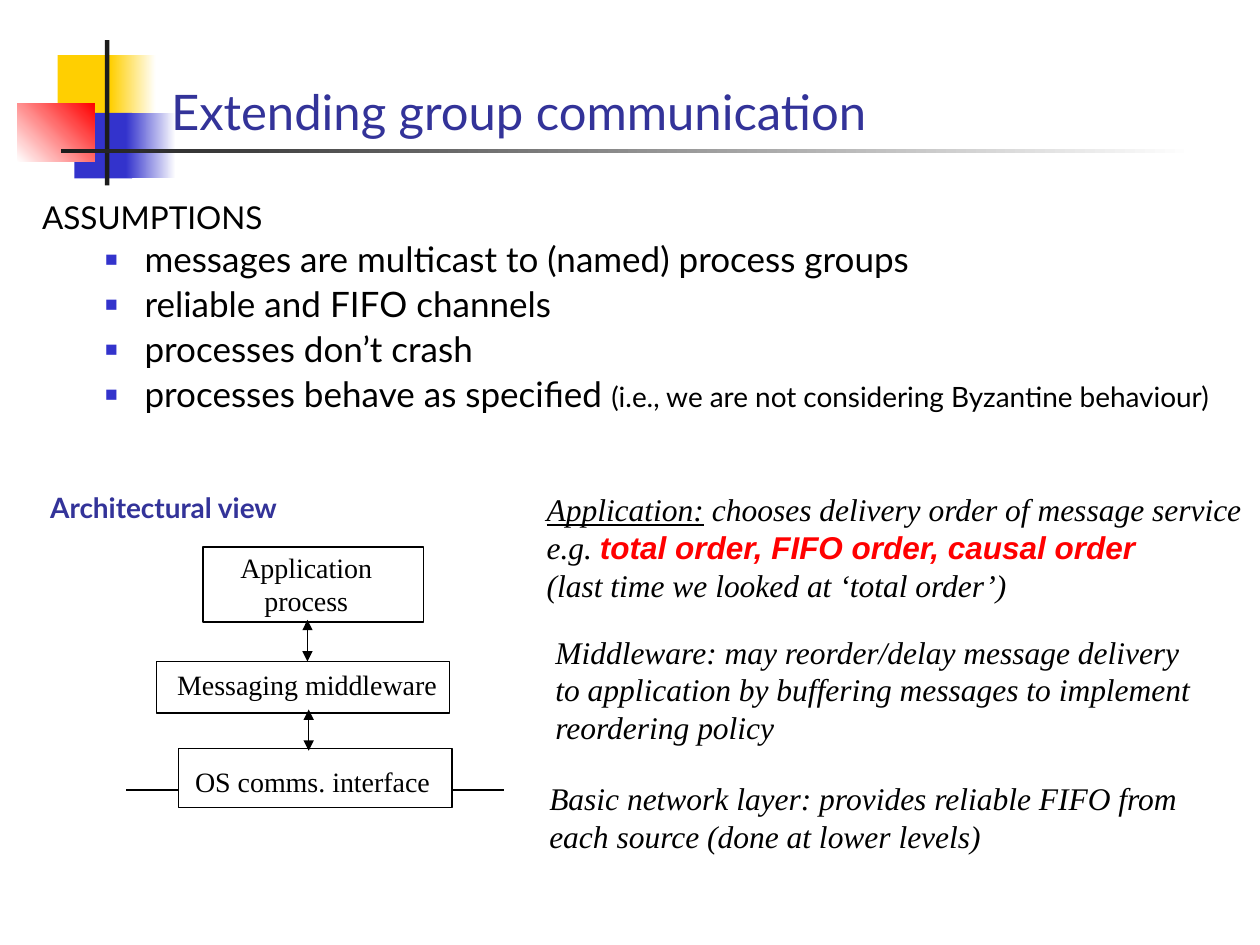
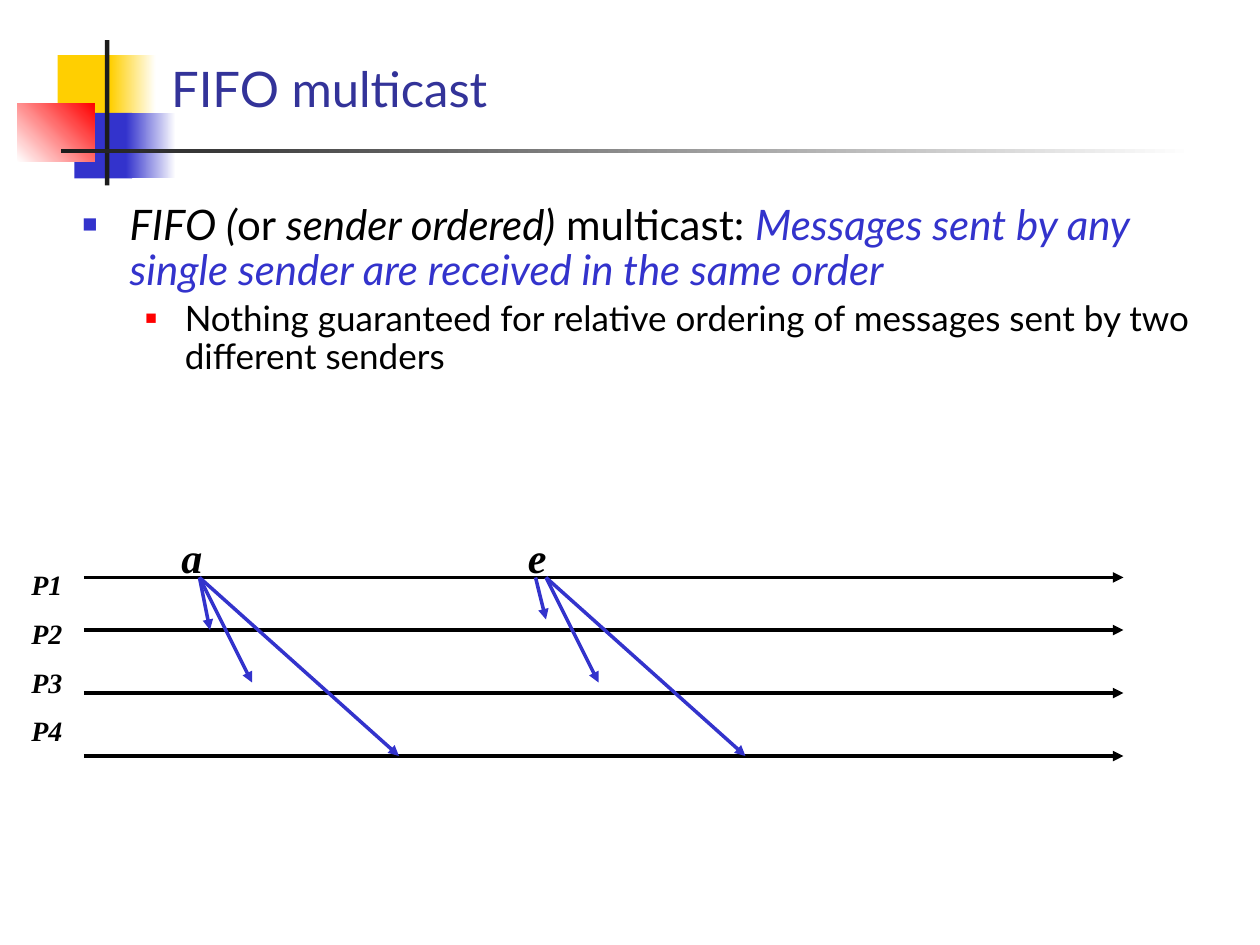
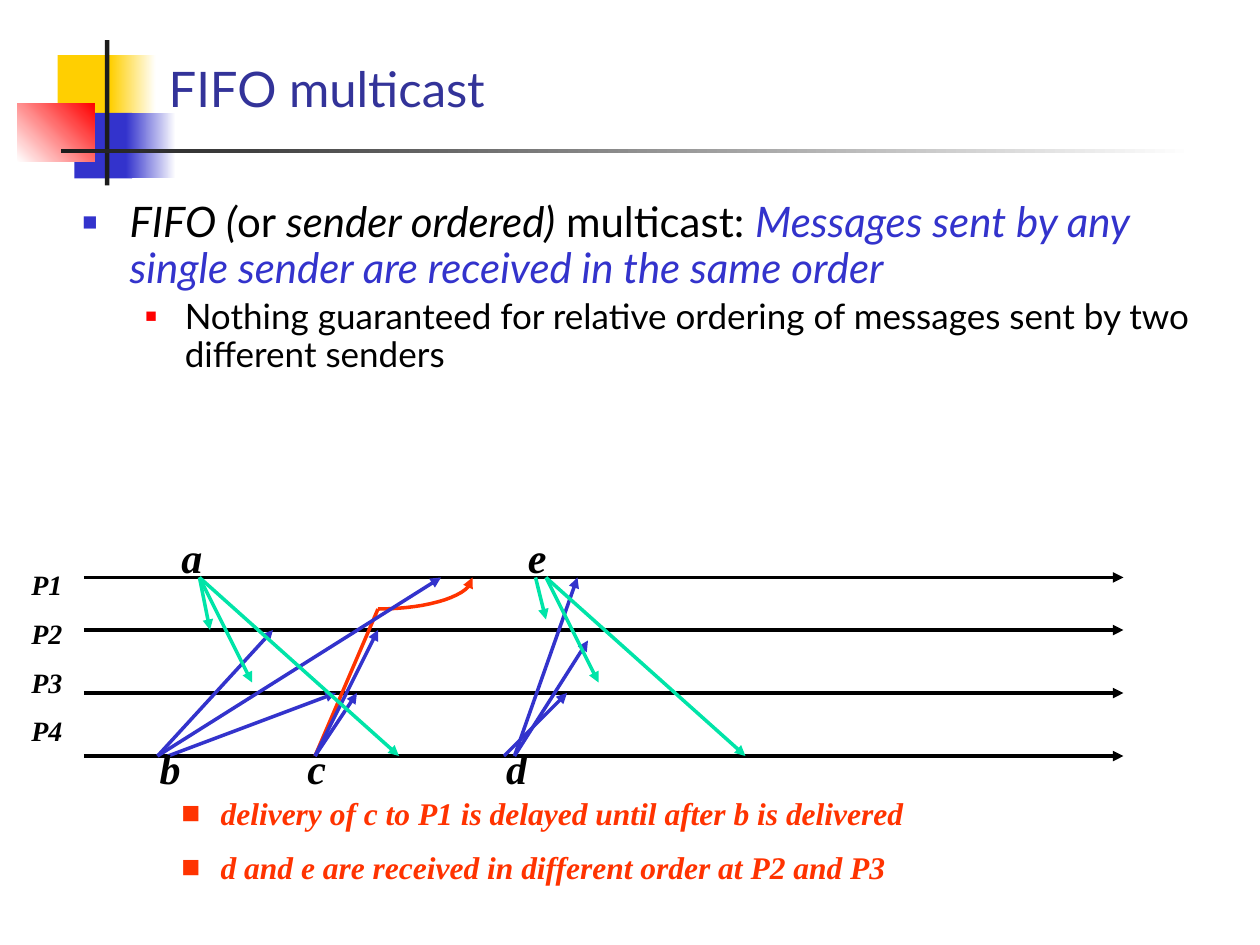
import math

from lxml import etree
from pptx import Presentation
from pptx.dml.color import RGBColor
from pptx.enum import shapes, text
from pptx.oxml import ns
from pptx.util import Pt

BLACK = RGBColor(0x00, 0x00, 0x00)
WHITE = RGBColor(0xFF, 0xFF, 0xFF)
CHARCOAL = RGBColor(0x1C, 0x1C, 0x1C)
YELLOW = RGBColor(0xFF, 0xCF, 0x01)
BLUE = RGBColor(0x33, 0x33, 0xCC)
TITLE_BLUE = RGBColor(0x33, 0x33, 0x99)
RED = RGBColor(0xFF, 0x00, 0x00)
ORANGE = RGBColor(0xFF, 0x33, 0x00)
GREEN = RGBColor(0x00, 0xE4, 0xA8)

SANS, SERIF, ARIAL = "Lato", "Times New Roman", "Arial"
TOP, MIDDLE, BOTTOM = (text.MSO_ANCHOR.TOP, text.MSO_ANCHOR.MIDDLE,
                       text.MSO_ANCHOR.BOTTOM)

MAIN_POINT = dict(margin=27, hanging=27, bullet=BLUE, bullet_size=60,
                  spacing=0.9, before=4.8)
SUB_POINT = dict(level=1, margin=58.5, hanging=22.5, bullet=BLUE,
                 bullet_size=60, spacing=0.9, before=4)
RED_SUB_POINT = dict(SUB_POINT, bullet=RED, bullet_size=55)
REMARK = dict(margin=22.5, hanging=22.5, bullet=ORANGE, bullet_size=100,
              before=9.5)

# Timeline geometry, relative to the start of the first lane
LANES = (0, 30, 66, 102)
LANE_LENGTH = 594
P1_MESSAGES = [(66, 0, 72, 30), (66, 0, 96, 60), (66, 0, 180, 102),
               (258, 0, 264, 24), (264, 0, 294, 60), (264, 0, 378, 102)]
P4_MESSAGES = [(42, 102, 108, 30), (48, 102, 144, 66), (42, 102, 204, 0),
               (240, 102, 276, 66), (246, 102, 288, 36), (246, 102, 282, 0),
               (132, 102, 156, 66), (132, 102, 168, 30)]
P1_EVENTS = {"a": (48.5, -30), "e": (246.5, -30)}
P4_EVENTS = {"b": (36.2, 90.5), "c": (120.5, 90.5), "d": (234.2, 90.5)}


def points(*lengths):
    return [Pt(length) for length in lengths]


def moved(box, origin):
    """Shift a box given relative to origin onto the slide."""
    x, y, *size = box
    return (origin[0] + x, origin[1] + y, *size)


def add_child(parent, tag, **attributes):
    return etree.SubElement(parent, ns.qn(tag), attributes)


def set_bullet(paragraph, colour, size, margin, hanging):
    properties = paragraph._p.get_or_add_pPr()
    properties.set("marL", str(Pt(margin)))
    properties.set("indent", str(-Pt(hanging)))
    add_child(add_child(properties, "a:buClr"), "a:srgbClr", val=str(colour))
    add_child(properties, "a:buSzPct", val=str(size * 1000))
    add_child(properties, "a:buFont", typeface=ARIAL)
    add_child(properties, "a:buChar", char="■")


def format_paragraph(paragraph, first, align=None, level=0, spacing=None,
                     before=0, bullet=None, bullet_size=100, margin=0,
                     hanging=0):
    paragraph.alignment = align
    paragraph.level = level
    if spacing:
        paragraph.line_spacing = spacing
    if before and not first:
        paragraph.space_before = Pt(before)
    if bullet is not None:
        set_bullet(paragraph, bullet, bullet_size, margin, hanging)


def format_run(run, font=SERIF, size=18, colour=BLACK, bold=False,
               italic=False, underline=False):
    run.font.name = font
    run.font.size = Pt(size)
    run.font.color.rgb = colour
    run.font.bold = bold
    run.font.italic = italic
    run.font.underline = underline


def add_text(slide, box, paragraphs, anchor=TOP, fill=None, layout=None,
             **style):
    """Each paragraph is a string or (runs, layout); each run (text, style)."""
    holder = slide.shapes.add_textbox(*points(*box))
    if fill is not None:
        holder.fill.solid()
        holder.fill.fore_color.rgb = fill
    frame = holder.text_frame
    frame.word_wrap = True
    frame.vertical_anchor = anchor
    for index, content in enumerate(paragraphs):
        if isinstance(content, str):
            content = [(content, {})], layout or {}
        runs, paragraph_layout = content
        paragraph = frame.add_paragraph() if index else frame.paragraphs[0]
        format_paragraph(paragraph, index == 0, **paragraph_layout)
        for words, changes in runs:
            run = paragraph.add_run()
            run.text = words
            format_run(run, **{**style, **changes})


def add_box(slide, box, fill=None, gradient=None, angle=0, outline=None):
    rectangle = slide.shapes.add_shape(shapes.MSO_SHAPE.RECTANGLE,
                                       *points(*box))
    rectangle.shadow.inherit = False
    if gradient:
        rectangle.fill.gradient()
        rectangle.fill.gradient_angle = angle
        for stop, colour in zip(rectangle.fill.gradient_stops, gradient):
            stop.color.rgb = colour
        for stop, position in zip(rectangle.fill.gradient_stops, (0, 1)):
            stop.position = position
    elif fill is not None:
        rectangle.fill.solid()
        rectangle.fill.fore_color.rgb = fill
    else:
        rectangle.fill.background()
    if outline is not None:
        rectangle.line.color.rgb = outline
        rectangle.line.width = Pt(0.75)
    else:
        rectangle.line.fill.background()


def style_line(stroke, colour, width, ends):
    stroke.line.color.rgb = colour
    stroke.line.width = Pt(width)
    outline = stroke.element.spPr.find(ns.qn("a:ln"))
    for end in ends:
        add_child(outline, end, type="triangle")


def add_line(slide, ends_at, colour=BLACK, width=2, ends=("a:tailEnd",)):
    line = slide.shapes.add_connector(shapes.MSO_CONNECTOR.STRAIGHT,
                                      *points(*ends_at))
    style_line(line, colour, width, ends)
    add_child(line.element.spPr, "a:effectLst")


def add_title_band(slide, title, anchor=MIDDLE, left=90.7):
    """Coloured squares, crossing bars and the slide title."""
    add_box(slide, (33, 31.5, 34.5, 37.5), fill=YELLOW)
    add_box(slide, (63, 31.5, 26, 37.5), gradient=(YELLOW, WHITE))
    add_box(slide, (42.5, 64.5, 33, 37.5), fill=BLUE)
    add_box(slide, (72, 64.5, 28.5, 37.5), gradient=(BLUE, WHITE))
    add_box(slide, (10, 59, 44, 33.5), gradient=(WHITE, RED), angle=45)
    add_box(slide, (60, 23, 2.5, 83), fill=CHARCOAL)
    add_box(slide, (34.6, 85, 648, 2.3), gradient=(CHARCOAL, WHITE))
    add_text(slide, (left, 16.5, 613.5, 67), [title], anchor=anchor,
             font=SANS, size=28, colour=TITLE_BLUE)


def add_assumptions(slide, box):
    points_made = [
        [("messages are multicast to (named) process groups", {})],
        [("reliable and FIFO channels", {})],
        [("processes don’t crash", {})],
        [("processes behave as specified ", {}),
         ("(i.e., we are not considering Byzantine behaviour)",
          dict(size=16))],
    ]
    heading = [("ASSUMPTIONS", dict(size=18))], {}
    add_text(slide, box,
             [heading] + [(runs, SUB_POINT) for runs in points_made],
             font=SANS, size=20)


def add_architecture(slide, box):
    """Stack of three layers, joined by two-way arrows."""
    layers = [
        ((44, 1.5, 126, 43), (44, 0, 118, 46), ["Application", "process"]),
        ((17.3, 67, 167.8, 29.5), (21.6, 67, 167.8, 26.6),
         ["Messaging middleware "]),
        ((30.2, 116.7, 156.2, 33.8), (31.7, 122.4, 149.8, 26.6),
         ["OS comms. interface"]),
    ]
    for outline, label, lines in layers:
        add_box(slide, moved(outline, box), outline=BLACK)
        add_text(slide, moved(label, box), lines, size=16,
                 layout=dict(align=text.PP_ALIGN.CENTER))
    left, top = box[:2]
    both_ends = ("a:headEnd", "a:tailEnd")
    for x1, y1, x2, y2, ends in [(186.4, 140.4, 216, 140.4, ()),
                                 (30.2, 140.4, 0, 140.4, ()),
                                 (103.7, 43.2, 103.7, 67, both_ends),
                                 (104.4, 94.4, 104.4, 118, both_ends)]:
        add_line(slide, (left + x1, top + y1, left + x2, top + y2),
                 width=0.75, ends=ends)


def add_layer_notes(slide, box):
    application = [
        ([("Application:", dict(underline=True)),
          (" chooses delivery order of message service e.g. ", {}),
          ("total order, FIFO order, causal order",
           dict(font=ARIAL, colour=RED, bold=True))], {}),
        "(last time we looked at ‘total order’)",
    ]
    middleware = ["Middleware: may reorder/delay message delivery to "
                  "application by buffering messages to implement "
                  "reordering policy"]
    network = ["Basic network layer: provides reliable FIFO from each "
               "source (done at lower levels)"]
    for place, note in [((0, 0, 414.7, 72.7), application),
                        ((5, 81.4, 378.7, 72.7), middleware),
                        ((1.5, 165, 394.5, 51), network)]:
        add_text(slide, moved(place, box), note, italic=True)


def add_definition(slide, box):
    upright, blue = dict(italic=False), dict(colour=BLUE)
    definition = [("FIFO (", {}), ("or ", upright), ("sender ordered)", {}),
                  (" multicast: ", upright),
                  ("Messages sent by any single sender are received in the "
                   "same order", blue)]
    caveat = [("Nothing guaranteed for relative ordering of messages sent by "
               "two different senders", dict(size=20, italic=False))]
    add_text(slide, box, [(definition, MAIN_POINT), (caveat, RED_SUB_POINT)],
             font=SANS, size=24, italic=True)


def add_delayed_delivery(slide, box):
    """Message c: rises from P4, then bends until it reaches P1."""
    left, top = box[:2]
    add_line(slide, (left + 132, top + 102, left + 168, top + 18),
             colour=ORANGE, ends=())
    steps = 16
    bend = [(left + 168 + 54 * math.sin(i * math.pi / 2 / steps),
             top + 18 * math.cos(i * math.pi / 2 / steps))
            for i in range(steps + 1)]
    builder = slide.shapes.build_freeform(*points(*bend[0]))
    builder.add_line_segments([points(*spot) for spot in bend[1:]],
                              close=False)
    curve = builder.convert_to_shape()
    curve.shadow.inherit = False
    curve.fill.background()
    style_line(curve, ORANGE, 2, ("a:tailEnd",))


def add_timeline(slide, box, messages, events, delayed=False):
    """Four process lanes; messages are (colour, arrows) groups."""
    left, top = box[:2]
    for lane in LANES:
        add_line(slide, (left, top + lane, left + LANE_LENGTH, top + lane))
    if delayed:
        add_delayed_delivery(slide, box)
    for colour, arrows in messages:
        for x1, y1, x2, y2 in arrows:
            add_line(slide, (left + x1, top + y1, left + x2, top + y2),
                     colour=colour)
    for event, (x, y) in events.items():
        add_text(slide, moved((x, y, 24, 36), box), [event], size=24,
                 bold=True, italic=True)
    add_text(slide, moved((-37.2, -9, 46, 113), box),
             ["P1", "P2", "P3", "P4"], size=16, bold=True, italic=True,
             layout=dict(before=8.6))


def add_remarks(slide, box):
    add_text(slide, box,
             ["delivery of c to P1 is delayed until after b is delivered",
              "d and e are received in different order at P2 and P3"],
             fill=WHITE, colour=ORANGE, bold=True, italic=True, layout=REMARK)


def build_extending_slide(slide):
    add_title_band(slide, "Extending group communication", anchor=BOTTOM)
    add_assumptions(slide, (17, 109.5, 703, 135))
    add_architecture(slide, (72, 311, 216, 151))
    add_layer_notes(slide, (305.3, 276.5, 414.7, 216))
    add_text(slide, (21.6, 283, 173.5, 20), ["Architectural view"],
             anchor=BOTTOM, font=SANS, size=16, colour=TITLE_BLUE, bold=True)


def build_fifo_slide(slide):
    add_title_band(slide, "FIFO multicast")
    add_definition(slide, (40, 113, 656.6, 87))
    add_timeline(slide, (48, 330, LANE_LENGTH, 102), [(BLUE, P1_MESSAGES)],
                 P1_EVENTS)


def build_fifo_example_slide(slide):
    add_title_band(slide, "FIFO multicast", left=89.3)
    add_definition(slide, (40, 111.6, 656.6, 87))
    add_remarks(slide, (96.5, 450, 459.4, 90))
    add_timeline(slide, (48, 330, LANE_LENGTH, 102),
                 [(BLUE, P4_MESSAGES), (GREEN, P1_MESSAGES)],
                 {**P1_EVENTS, **P4_EVENTS}, delayed=True)


def main():
    deck = Presentation()
    deck.slide_width, deck.slide_height = points(720, 540)
    blank = deck.slide_layouts[6]
    for build in (build_extending_slide, build_fifo_slide,
                  build_fifo_example_slide):
        build(deck.slides.add_slide(blank))
    deck.save("out.pptx")


if __name__ == "__main__":
    main()
